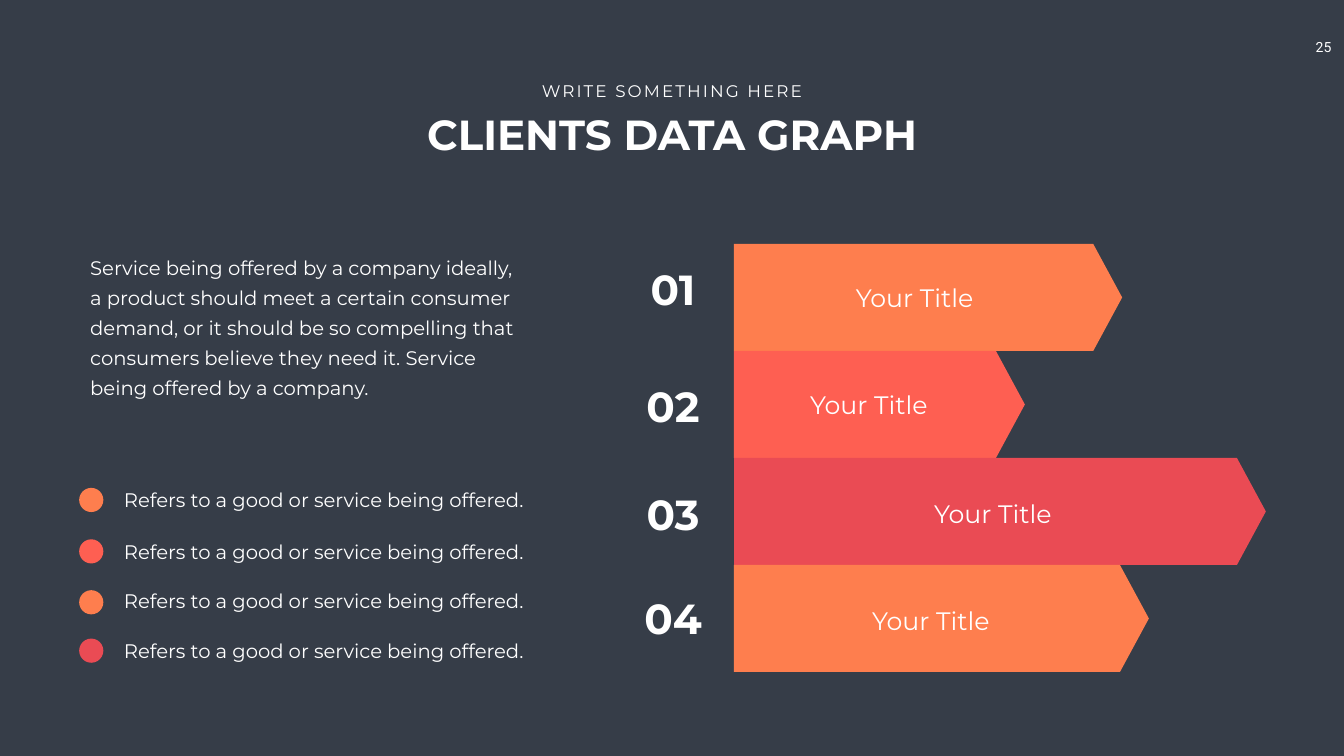
from pptx import Presentation
from pptx import util as u
from pptx.dml.color import RGBColor
from pptx.enum import shapes, text

PX = 9144  # EMU per px, 100 px to the inch
BACKGROUND = RGBColor(0x36, 0x3D, 0x48)
WHITE = RGBColor(0xFF, 0xFF, 0xFF)
ORANGE = RGBColor(0xFE, 0x7E, 0x4E)
CORAL = RGBColor(0xFE, 0x5F, 0x52)
RED = RGBColor(0xEA, 0x4B, 0x54)

PAGE_NUMBER = "25"
SUBTITLE = "WRITE SOMETHING HERE"
TITLE = "CLIENTS DATA GRAPH"
SUMMARY = (
    "Service being offered by a company ideally, a product should meet a "
    "certain consumer demand, or it should be so compelling that consumers "
    "believe they need it. Service being offered by a company."
)
# text, dot colour, dot top, text top
LEGEND = [
    ("Refers to a good or service being offered.", ORANGE, 968, 964),
    ("Refers to a good or service being offered.", CORAL, 1070, 1066),
    ("Refers to a good or service being offered.", ORANGE, 1171, 1164),
    ("Refers to a good or service being offered.", RED, 1267, 1263),
]
# number, number top, label, label left, label top, bar length, bar colour
BARS = [
    ("01", 518, "Your Title", 1688, 555, 770, ORANGE),
    ("02", 750, "Your Title", 1597, 768, 577, CORAL),
    ("03", 964, "Your Title", 1843, 984, 1055, RED),
    ("04", 1171, "Your Title", 1720, 1197, 823, ORANGE),
]
BAR_LEFT, BAR_TOP, BAR_HEIGHT = 1456, 484, 212.33
NUMBER_WIDTH = 242
DOT_LEFT, DOT_SIZE = 157, 48


def box(left, top, width, height):
    return [u.Emu(round(side * PX)) for side in (left, top, width, height)]


def add_text(slide, words, place, size, align=text.PP_ALIGN.LEFT, bold=False,
             font="Montserrat", wrap=True, inset=(10, 5)):
    """Add a one-paragraph text box and return its paragraph."""
    frame = slide.shapes.add_textbox(*box(*place)).text_frame
    frame.word_wrap = wrap
    frame.margin_left = frame.margin_right = inset[0] * PX
    frame.margin_top = frame.margin_bottom = inset[1] * PX
    paragraph = frame.paragraphs[0]
    paragraph.text = words
    paragraph.alignment = align
    paragraph.font.name = font
    paragraph.font.size = u.Pt(size)
    paragraph.font.bold = bold
    paragraph.font.color.rgb = WHITE
    return paragraph


def add_filled(slide, preset, place, colour):
    shape = slide.shapes.add_shape(preset, *box(*place))
    shape.shadow.inherit = False
    shape.fill.solid()
    shape.fill.fore_color.rgb = colour
    shape.line.fill.background()
    return shape


def add_heading(slide):
    centre = text.PP_ALIGN.CENTER
    add_text(slide, PAGE_NUMBER, (2580, 67, 91, 54), 20, centre,
             font="Roboto", wrap=False, inset=(20, 10))
    add_text(slide, TITLE, (676, 210, 1314, 111), 60, centre, bold=True)
    subtitle = add_text(slide, SUBTITLE, (1060, 155, 546, 50), 24, centre, wrap=False)
    subtitle.runs[0].font._element.set("spc", "300")


def add_legend(slide):
    summary = add_text(slide, SUMMARY, (155, 482, 893, 320), 28, inset=(24, 12))
    summary.line_spacing = u.Pt(43)
    for words, colour, dot_top, text_top in LEGEND:
        add_filled(slide, shapes.MSO_SHAPE.OVAL,
                   (DOT_LEFT, dot_top, DOT_SIZE, DOT_SIZE), colour)
        add_text(slide, words, (236, text_top, 840, 57), 28)


def add_bars(slide):
    for row, (number, number_top, label, label_left, label_top, length, colour) in enumerate(BARS):
        bar = add_filled(slide, shapes.MSO_SHAPE.PENTAGON,
                         (BAR_LEFT, BAR_TOP + row * BAR_HEIGHT, length, BAR_HEIGHT), colour)
        bar.adjustments[0] = 0.27
        add_text(slide, number, (BAR_LEFT - NUMBER_WIDTH, number_top, NUMBER_WIDTH, 111),
                 60, text.PP_ALIGN.CENTER, bold=True)
        add_text(slide, label, (label_left, label_top, 295, 71), 36)


def main():
    deck = Presentation()
    deck.slide_width, deck.slide_height = 2666 * PX, 1500 * PX
    slide = deck.slides.add_slide(deck.slide_layouts[6])
    slide.background.fill.solid()
    slide.background.fill.fore_color.rgb = BACKGROUND
    add_heading(slide)
    add_legend(slide)
    add_bars(slide)
    deck.save("out.pptx")


if __name__ == "__main__":
    main()
